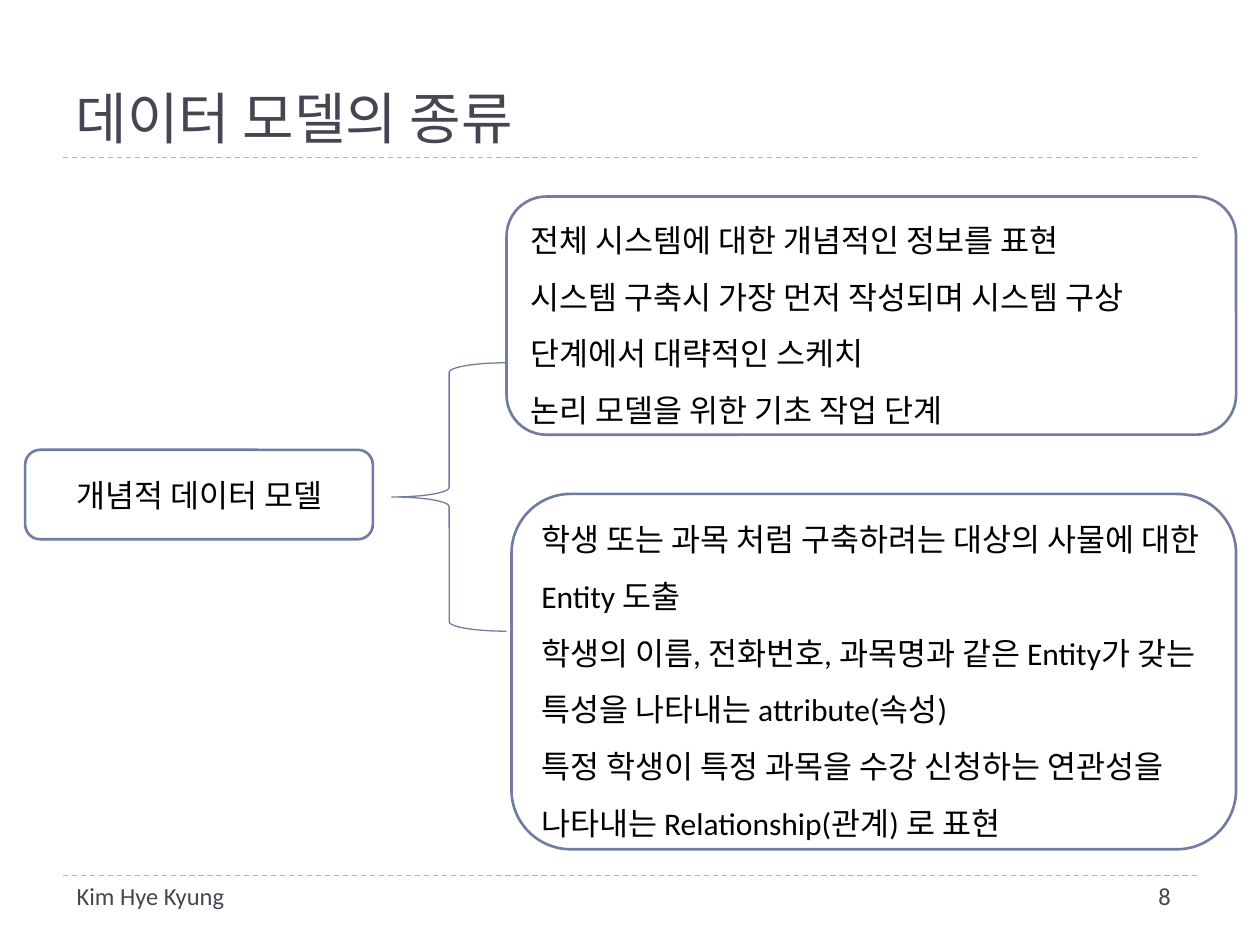
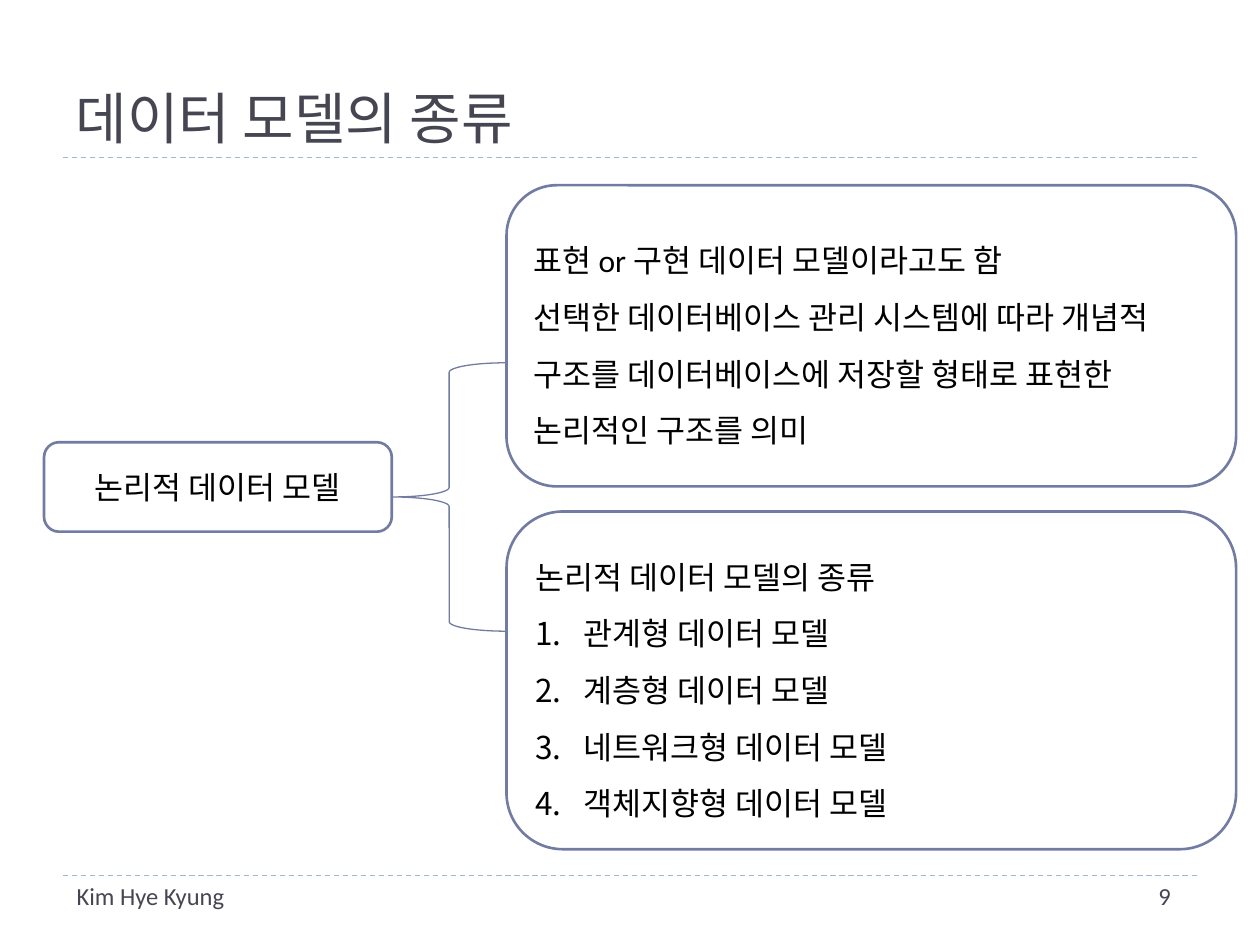
import pptx
import pptx.util
import pptx.dml.color
import pptx.enum.dml
import pptx.enum.shapes
import pptx.enum.text
import pptx.oxml.ns
import lxml.etree

SHAPE = pptx.enum.shapes.MSO_SHAPE
ALIGN = pptx.enum.text.PP_ALIGN
ANCHOR = pptx.enum.text.MSO_ANCHOR
qn = pptx.oxml.ns.qn

INK, OUTLINE, RULE, BLACK, WHITE = "464653", "727CA3", "9FB8CD", "000000", "FFFFFF"
BODY_FONT, TITLE_FONT = "Calibri", "TeX Gyre Bonum"

prs = pptx.Presentation()
prs.slide_width = pptx.util.Inches(10)
prs.slide_height = pptx.util.Inches(7.5)

# Grid of 100 columns by 75 rows
COL = prs.slide_width / 100
ROW = prs.slide_height / 75
MARGIN = 5
TITLE_RULE, FOOTER_RULE = 12.5, 69.5
RIGHT_EDGE, BOTTOM_EDGE = 98.1, 67.4
BRACE = (31.1, 28.8, 9.1, 21.3)
LABEL_SIZE = (27.6, 7.1)


def place(left, top, width, height):
    return [round(n) for n in (left * COL, top * ROW, width * COL, height * ROW)]


def add_text(p, text, size, color, font=BODY_FONT):
    r = p.add_run()
    r.text = text
    r.font.size = pptx.util.Pt(size)
    r.font.name = font
    r.font.color.rgb = pptx.dml.color.RGBColor.from_string(color)


# Each box: left, top, bottom, plain paragraphs, numbered paragraphs
slides = [
    dict(number=8, label="개념적 데이터 모델", label_at=(2, 35.7), boxes=[
        (40.2, 15.6, 34.5, [
            "전체 시스템에 대한 개념적인 정보를 표현",
            "시스템 구축시 가장 먼저 작성되며 시스템 구상 단계에서 대략적인 스케치",
            "논리 모델을 위한 기초 작업 단계"], []),
        (40.6, 39.2, BOTTOM_EDGE, [
            "학생 또는 과목 처럼 구축하려는 대상의 사물에 대한 Entity 도출",
            "학생의 이름, 전화번호, 과목명과 같은 Entity가 갖는 특성을 나타내는 attribute(속성)",
            "특정 학생이 특정 과목을 수강 신청하는 연관성을 나타내는 Relationship(관계) 로 표현"], []),
    ]),
    dict(number=9, label="논리적 데이터 모델", label_at=(3.5, 35.1), boxes=[
        (40.2, 14.7, 38.6, [
            "표현 or 구현 데이터 모델이라고도 함",
            "선택한 데이터베이스 관리 시스템에 따라 개념적 구조를 데이터베이스에 "
            "저장할 형태로 표현한 논리적인 구조를 의미"], []),
        (40.2, 40.6, BOTTOM_EDGE, ["논리적 데이터 모델의 종류"], [
            "관계형 데이터 모델", "계층형 데이터 모델",
            "네트워크형 데이터 모델", "객체지향형 데이터 모델"]),
    ]),
]

for content in slides:
    s = prs.slides.add_slide(prs.slide_layouts[5])

    # Dashed rules
    for row in (FOOTER_RULE, TITLE_RULE):
        x, y, width, _ = place(MARGIN, row, 100 - 2 * MARGIN, 0)
        line = s.shapes.add_connector(
            pptx.enum.shapes.MSO_CONNECTOR.STRAIGHT, x, y, x + width, y)
        line.line.color.rgb = pptx.dml.color.RGBColor.from_string(RULE)
        line.line.width = pptx.util.Pt(0.75)
        line.line.dash_style = pptx.enum.dml.MSO_LINE.DASH
        lxml.etree.SubElement(line._element.spPr, qn("a:effectLst"))

    # Title
    title = s.shapes.title
    title.left, title.top, title.width, title.height = place(MARGIN, 1.7, 90, 10.8)
    tf = title.text_frame
    tf.auto_size = pptx.enum.text.MSO_AUTO_SIZE.NONE
    tf.vertical_anchor = ANCHOR.BOTTOM
    p = tf.paragraphs[0]
    p.alignment = ALIGN.LEFT
    add_text(p, "데이터 모델의 종류", 32, INK, TITLE_FONT)

    # Footer: author and page number
    for left, width, text, align in (
            (5.1, 23.4, "Kim Hye Kyung", ALIGN.LEFT),
            (86.5, 7.4, str(content["number"]), ALIGN.RIGHT)):
        tf = s.shapes.add_textbox(*place(left, 69.4, width, 4)).text_frame
        tf.word_wrap = True
        p = tf.paragraphs[0]
        p.alignment = align
        add_text(p, text, 14, INK)

    # Model name and its description boxes
    label_box = (*content["label_at"], *LABEL_SIZE)
    panels = [(label_box, [content["label"]], [], ALIGN.CENTER, 1)]
    for left, top, bottom, plain, numbered in content["boxes"]:
        area = (left, top, RIGHT_EDGE - left, bottom - top)
        panels.append((area, plain, numbered, ALIGN.LEFT, 1.5))

    for area, plain, numbered, align, spacing in panels:
        sp = s.shapes.add_shape(SHAPE.ROUNDED_RECTANGLE, *place(*area))
        sp.shadow.inherit = False
        sp.fill.solid()
        sp.fill.fore_color.rgb = pptx.dml.color.RGBColor.from_string(WHITE)
        sp.line.color.rgb = pptx.dml.color.RGBColor.from_string(OUTLINE)
        sp.line.width = pptx.util.Pt(1.5)
        tf = sp.text_frame
        tf.word_wrap = True
        tf.vertical_anchor = ANCHOR.MIDDLE
        for i, text in enumerate(plain + numbered):
            p = tf.add_paragraph() if i else tf.paragraphs[0]
            p.alignment = align
            p.line_spacing = spacing
            if i >= len(plain):
                pPr = p._p.get_or_add_pPr()
                indent = pptx.util.Inches(0.38)
                pPr.set("marL", str(indent))
                pPr.set("indent", str(-indent))
                lxml.etree.SubElement(pPr, qn("a:buAutoNum"), type="arabicPeriod")
            add_text(p, text, 18, BLACK)

    # Brace joining the name to its descriptions
    brace = s.shapes.add_shape(SHAPE.LEFT_BRACE, *place(*BRACE))
    brace.shadow.inherit = False
    brace.fill.background()
    brace.line.color.rgb = pptx.dml.color.RGBColor.from_string(OUTLINE)
    brace.line.width = pptx.util.Pt(0.75)

prs.save("out.pptx")
